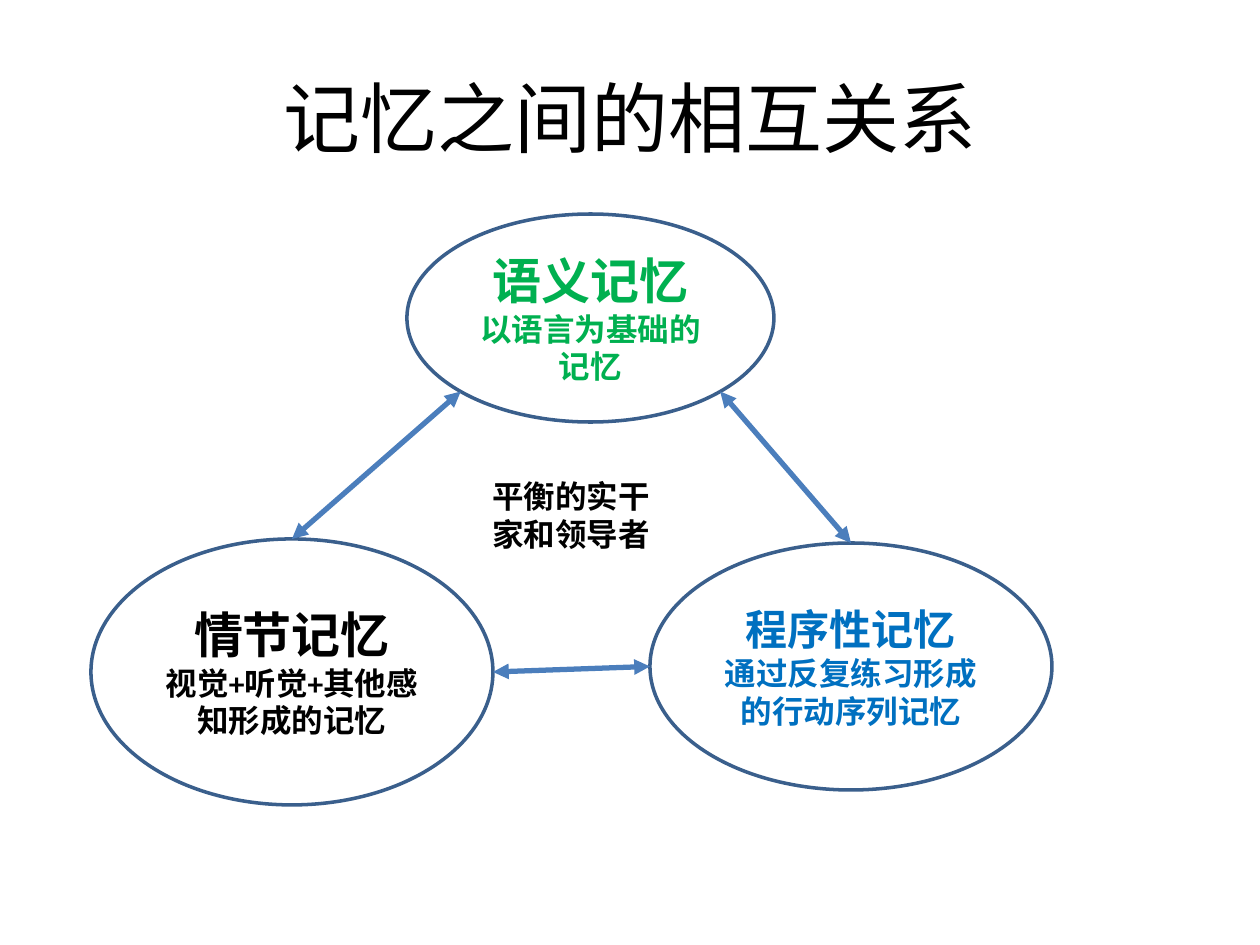
from math import sqrt

from lxml.etree import SubElement
from pptx import Presentation
from pptx.dml.color import RGBColor
from pptx.enum.shapes import MSO_CONNECTOR, MSO_SHAPE
from pptx.enum.text import MSO_ANCHOR, MSO_AUTO_SIZE, PP_ALIGN
from pptx.oxml.ns import qn
from pptx.util import Emu, Pt

PX = 914400 // 126
BLACK = RGBColor(0x00, 0x00, 0x00)
GREEN = RGBColor(0x00, 0xB0, 0x50)
BLUE = RGBColor(0x00, 0x70, 0xC0)
OUTLINE = RGBColor(0x3A, 0x5F, 0x8C)
ARROW = RGBColor(0x4B, 0x7E, 0xBC)
TOP = 0


def px(*lengths):
    return [Emu(round(length * PX)) for length in lengths]


def write(para, text, size, color=BLACK, bold=True, align=PP_ALIGN.CENTER):
    para.alignment = align
    span = para.add_run()
    span.text = text
    font = span.font
    font.name, font.size, font.bold = "Calibri", Pt(size), bold
    font.color.rgb = color


def add_title(page, box, text):
    title = page.shapes.title
    title.left, title.top, title.width, title.height = px(*box)
    title.text_frame.vertical_anchor = MSO_ANCHOR.MIDDLE
    write(title.text_frame.paragraphs[0], text, 44, bold=False)


def add_memory(page, box, name, detail, color, name_size=28):
    """Outlined ellipse naming one kind of memory above its description."""
    ellipse = page.shapes.add_shape(MSO_SHAPE.OVAL, *px(*box))
    ellipse.shadow.inherit = False
    ellipse.fill.background()
    ellipse.line.color.rgb = OUTLINE
    ellipse.line.width = Pt(2)
    frame = ellipse.text_frame
    frame.word_wrap = True
    frame.vertical_anchor = MSO_ANCHOR.MIDDLE
    write(frame.paragraphs[0], name, name_size, color)
    write(frame.add_paragraph(), detail, 18, color)
    return ellipse


def rim_point(box, across, down):
    """Point on the ellipse's rim in the direction (across, down) from its centre."""
    left, top, width, height = box
    reach = sqrt(across ** 2 + down ** 2)
    return (left + width / 2 * (1 + across / reach),
            top + height / 2 * (1 + down / reach))


def add_double_arrow(page, start, end):
    arrow = page.shapes.add_connector(MSO_CONNECTOR.STRAIGHT, *px(*start, *end))
    arrow.line.color.rgb = ARROW
    arrow.line.width = Pt(3)
    for tag in ("a:headEnd", "a:tailEnd"):
        SubElement(arrow.line._get_or_add_ln(), qn(tag), type="triangle")
    SubElement(arrow._element.spPr, qn("a:effectLst"))
    return arrow


def add_caption(page, box, text):
    caption = page.shapes.add_textbox(*px(*box))
    frame = caption.text_frame
    frame.word_wrap = True
    frame.auto_size = MSO_AUTO_SIZE.SHAPE_TO_FIT_TEXT
    write(frame.paragraphs[0], text, 18, align=PP_ALIGN.LEFT)


def add_memory_triangle(page, box):
    left, top, width, height = box
    semantic_box = (left + 316, top, 367, 208)
    episodic_box = (left, top + height - 266, 402, 266)
    procedural_box = (left + width - 402, top + 329, 402, 247)

    add_memory(page, semantic_box, "语义记忆", "以语言为基础的记忆", GREEN)
    episodic = add_memory(page, episodic_box, "情节记忆",
                          "视觉+听觉+其他感知形成的记忆", BLACK)
    procedural = add_memory(page, procedural_box, "程序性记忆",
                            "通过反复练习形成的行动序列记忆", BLUE, name_size=24)

    for side, lower, lower_box in ((-1, episodic, episodic_box),
                                   (1, procedural, procedural_box)):
        arrow = add_double_arrow(page, rim_point(semantic_box, side, 1),
                                 rim_point(lower_box, 0, -1))
        arrow.end_connect(lower, TOP)
    add_double_arrow(page, rim_point(episodic_box, 1, 0),
                     rim_point(procedural_box, -1, 0))
    add_caption(page, (left + 389, top + 257, 189, 89), "平衡的实干家和领导者")


def main():
    deck = Presentation()
    deck.slide_width, deck.slide_height = px(1260, 945)
    page = deck.slides.add_slide(deck.slide_layouts[5])
    add_title(page, (63, 38, 1134, 157), "记忆之间的相互关系")
    add_memory_triangle(page, (91, 214, 961, 591))
    deck.save("out.pptx")


if __name__ == "__main__":
    main()
